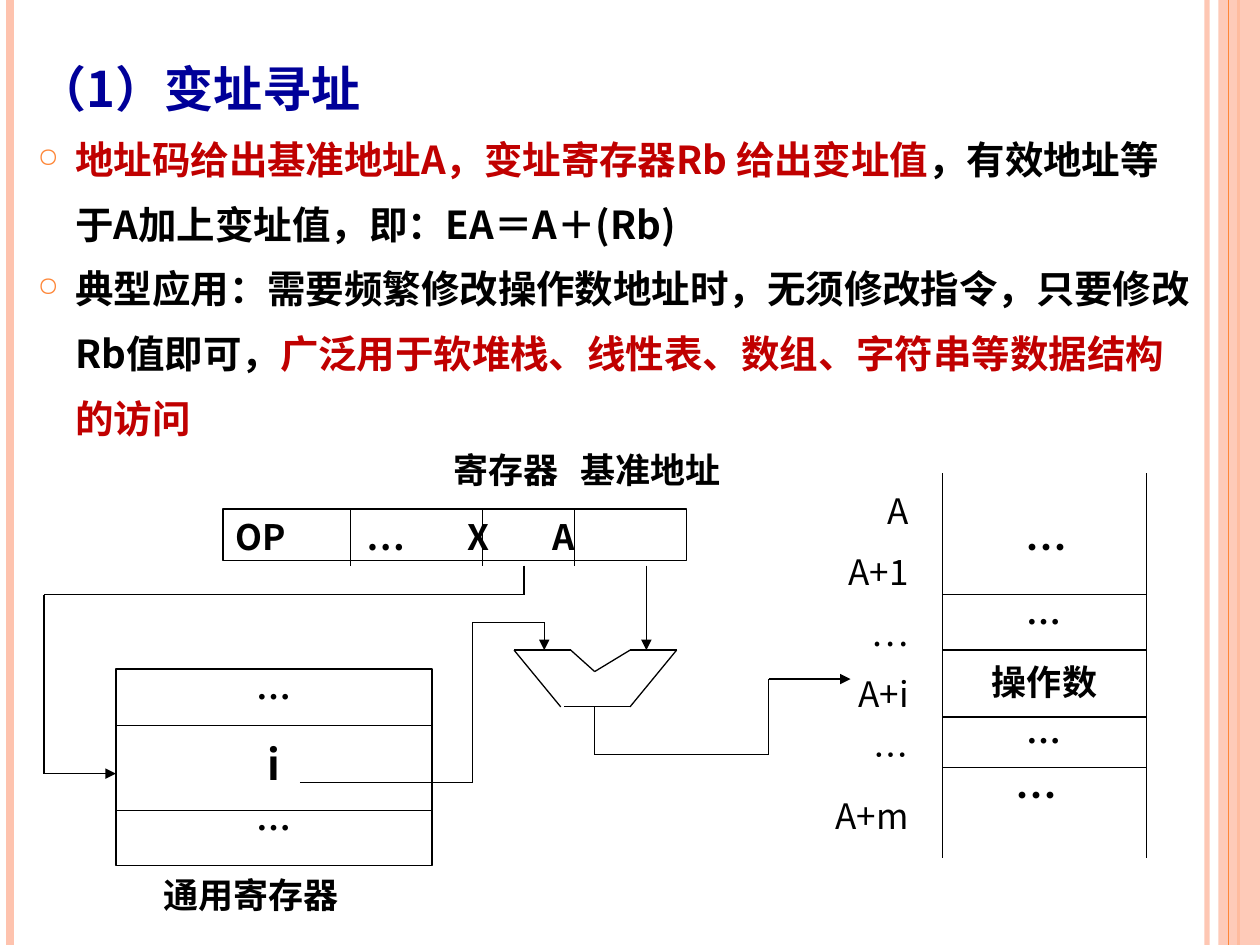
from itertools import pairwise

from lxml.etree import SubElement
from pptx import Presentation
from pptx.dml.color import RGBColor
from pptx.enum.shapes import MSO_CONNECTOR as Connector, MSO_SHAPE as Shape
from pptx.enum.text import MSO_ANCHOR as Anchor, PP_ALIGN as Align
from pptx.oxml.ns import qn
from pptx.util import Inches, Pt

FONT = "Noto Sans CJK SC"
COLORS = {
    "black": "000000", "navy": "000099", "red": "C00000",
    "orange": "FE8637", "peach": "FEC3AE",
}


def rgb(name):
    return RGBColor.from_string(COLORS[name])


def add_alpha(fill_parent, percent):
    color = fill_parent.find(".//" + qn("a:srgbClr"))
    SubElement(color, qn("a:alpha"), val=str(percent * 1000))


def add_line(page, start, end, color="black", width=0.75, arrow=False, alpha=None):
    ends = [Inches(value) for value in (*start, *end)]
    line = page.shapes.add_connector(Connector.STRAIGHT, *ends)
    line.line.color.rgb = rgb(color)
    line.line.width = Pt(width)
    outline = line.line._get_or_add_ln()
    if alpha:
        add_alpha(outline, alpha)
    if arrow:
        SubElement(outline, qn("a:tailEnd"), type="triangle")
    SubElement(line._element.spPr, qn("a:effectLst"))


def add_route(page, *points, arrow=False):
    """Draw straight segments through the points, with an optional final arrow."""
    for start, end in pairwise(points):
        add_line(page, start, end, arrow=arrow and end == points[-1])


def add_rect(page, place, fill=None, alpha=None):
    rect = page.shapes.add_shape(Shape.RECTANGLE, *map(Inches, place))
    rect.shadow.inherit = False
    if fill:
        rect.fill.solid()
        rect.fill.fore_color.rgb = rgb(fill)
        add_alpha(rect._element.spPr, alpha)
        rect.line.fill.background()
    else:
        rect.fill.background()
        rect.line.color.rgb = rgb("black")
        rect.line.width = Pt(0.75)
    return rect


def add_box(page, place):
    return page.shapes.add_textbox(*map(Inches, place))


def write(box, text, size=20, color="black", bold=True, align=Align.LEFT,
          spacing=1.0, before=0, bullet=False, tabs=()):
    """Append a paragraph; text is a string or a list of (text, color) spans."""
    frame = box.text_frame
    frame.word_wrap = True
    frame.vertical_anchor = Anchor.TOP
    first = not frame.text
    para = frame.paragraphs[0] if first else frame.add_paragraph()
    para.alignment = align
    para.line_spacing = Pt(round(size * 1.2 * spacing, 1))
    para.space_before = Pt(0 if first else before)
    props = para._p.get_or_add_pPr()
    if bullet:
        props.set("marL", str(Inches(0.3)))
        props.set("indent", str(-Inches(0.3)))
        mark = SubElement(props, qn("a:buClr"))
        SubElement(mark, qn("a:srgbClr"), val=COLORS["orange"])
        SubElement(props, qn("a:buSzPct"), val="70000")
        SubElement(props, qn("a:buChar"), char="○")
    if tabs:
        stops = SubElement(props, qn("a:tabLst"))
        for stop in tabs:
            SubElement(stops, qn("a:tab"), pos=str(Inches(stop)), algn="l")
    for words, tint in [(text, color)] if isinstance(text, str) else text:
        span = para.add_run()
        span.text = words
        span.font.size = Pt(size)
        span.font.bold = bold
        span.font.name = FONT
        span.font.color.rgb = rgb(tint)
        SubElement(span._r.get_or_add_rPr(), qn("a:ea"), typeface=FONT)


def add_label(page, text, place, **style):
    write(add_box(page, place), text, **style)


def add_stack(page, place, rows, dividers):
    """A rectangle with centred rows of (text, size) and horizontal dividers."""
    left, _, width, _ = place
    rect = add_rect(page, place)
    for text, size in rows:
        write(rect, text, size=size, align=Align.CENTER, before=size / 2)
    for y in dividers:
        add_line(page, (left, y), (left + width, y))


def draw_frame(page):
    add_line(page, (9.58, 0), (9.58, 7.5), "peach", 3, alpha=93)
    add_line(page, (0.08, 0), (0.08, 7.5), "peach", 4.5)
    add_line(page, (9.83, 0), (9.83, 7.5), "orange", 1.5)
    add_rect(page, (9.67, 0, 0.33, 7.5), "peach", 87)
    add_line(page, (9.75, 0), (9.75, 7.5), "orange", 0.75)


def draw_explanation(page):
    box = add_box(page, (0.2, 0.23, 9.37, 3.62))
    write(box, "（1）变址寻址", size=28, color="navy", spacing=1.4)
    points = [
        [("地址码给出基准地址A，变址寄存器Rb 给出变址值", "red"),
         ("，有效地址等于A加上变址值，即：EA＝A＋(Rb)", "black")],
        [("典型应用：需要频繁修改操作数地址时，无须修改指令，只要修改Rb值即可，", "black"),
         ("广泛用于软堆栈、线性表、数组、字符串等数据结构的访问", "red")],
    ]
    for spans in points:
        write(box, spans, size=22, spacing=1.4, bullet=True)


def draw_instruction(page):
    rect = add_rect(page, (1.77, 4.04, 3.68, 0.41))
    write(rect, "OP\t…\tX\tA", tabs=(1.04, 1.84, 2.52))
    for x in (2.78, 3.83, 4.56):
        add_line(page, (x, 4.04), (x, 4.49))
    add_label(page, "寄存器", (3.5, 3.51, 1.04, 0.44), align=Align.CENTER)
    add_label(page, "基准地址", (4.45, 3.51, 1.42, 0.44), align=Align.CENTER)


def draw_registers(page):
    add_stack(page, (0.92, 5.31, 2.51, 1.56),
              [("…", 20), ("i", 24), ("…", 20)], (5.76, 6.43))
    add_label(page, "通用寄存器", (1.2, 6.88, 1.66, 0.41))


def draw_adder(page):
    add_route(page, (4.45, 5.61), (4.08, 5.16), (4.53, 5.16), (4.72, 5.33),
              (5, 5.16), (5.37, 5.16), (5, 5.61), (4.48, 5.61))


def draw_memory(page):
    left, right = 7.48, 9.1
    addresses = add_box(page, (6.42, 3.69, 0.89, 3.03))
    for text in ("A", "A+1…", "A+i", "…", "A+m"):
        write(addresses, text, bold=False, align=Align.RIGHT, spacing=1.45)
    add_stack(page, (left, 4.72, right - left, 1.37),
              [("…", 20), ("操作数", 20), ("…", 20)], (5.16, 5.69))
    for x in (left, right):
        add_line(page, (x, 4.72), (x, 3.75))
        add_line(page, (x, 6.06), (x, 6.81))
    for x, y in ((7.96, 6.06), (8.04, 4.09)):
        add_label(page, "…", (x, y, 0.57, 0.47), size=24)


def draw_data_paths(page):
    # Register number to register file
    add_route(page, (4.16, 4.49), (4.16, 4.72), (0.35, 4.72),
              (0.35, 6.14), (0.92, 6.14), arrow=True)
    # Index value and base address to adder
    add_route(page, (2.38, 6.21), (3.75, 6.21), (3.75, 4.94),
              (4.32, 4.94), (4.32, 5.16), arrow=True)
    add_route(page, (5.13, 4.49), (5.13, 5.16), arrow=True)
    # Effective address to memory
    add_route(page, (4.72, 5.61), (4.72, 5.99), (6.1, 5.99),
              (6.1, 5.39), (6.75, 5.39), arrow=True)


def main():
    deck = Presentation()
    deck.slide_width, deck.slide_height = Inches(10), Inches(7.5)
    page = deck.slides.add_slide(deck.slide_layouts[6])
    for draw in (draw_frame, draw_explanation, draw_registers, draw_adder,
                 draw_instruction, draw_memory, draw_data_paths):
        draw(page)
    deck.save("out.pptx")


if __name__ == "__main__":
    main()
